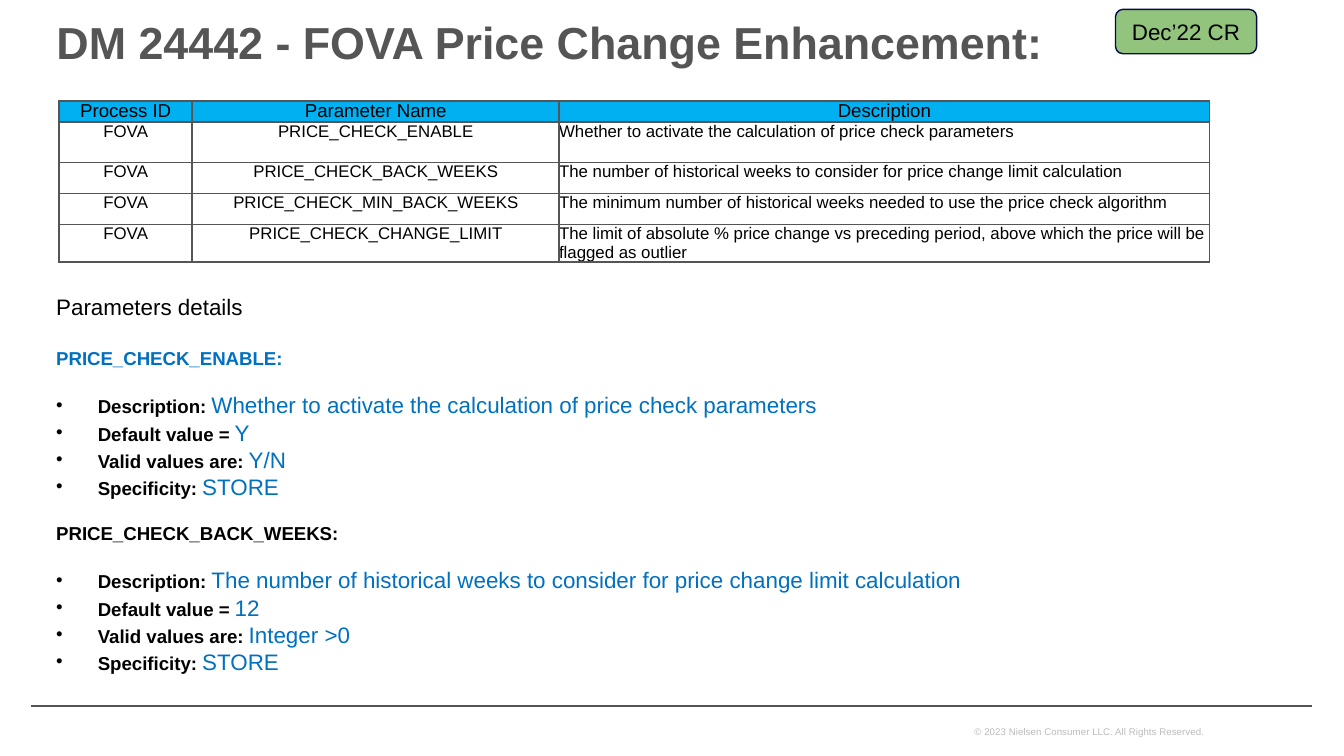
from pptx import Presentation
from pptx.dml.color import RGBColor
from pptx.enum import shapes, text
from pptx.oxml import xmlchemy
from pptx.util import Inches, Pt

FONT = "Arial"
BLACK, GREY, BLUE = "000000", "555555", "0070C0"
LEFT, CENTER = text.PP_ALIGN.LEFT, text.PP_ALIGN.CENTER

COLUMN_WIDTHS = [0.99, 2.73, 4.84]
ROW_HEIGHTS = [0.16, 0.3, 0.23, 0.23, 0.28]
HEADER = ["Process ID", "Parameter Name", "Description"]
PARAMETERS = [
    ("PRICE_CHECK_ENABLE",
     "Whether to activate the calculation of price check parameters"),
    ("PRICE_CHECK_BACK_WEEKS",
     "The number of historical weeks to consider for price change limit calculation"),
    ("PRICE_CHECK_MIN_BACK_WEEKS",
     "The minimum number of historical weeks needed to use the price check algorithm"),
    ("PRICE_CHECK_CHANGE_LIMIT",
     "The limit of absolute % price change vs preceding period, "
     "above which the price will be flagged as outlier"),
]
LABELS = ["Description: ", "Default value = ", "Valid values are: ", "Specificity: "]
# Heading colour, space before the heading, values after the description
DETAILS = [(BLUE, 12, ["Y", "Y/N", "STORE"]),
           (BLACK, 9.5, ["12", "Integer >0", "STORE"])]


def rgb(value):
    return RGBColor.from_string(value)


def add_run(paragraph, words, size, color=BLACK, bold=False):
    run = paragraph.add_run()
    run.text = words
    run.font.name, run.font.size, run.font.bold = FONT, Pt(size), bold
    run.font.color.rgb = rgb(color)


def add_child(parent, tag, **attributes):
    child = xmlchemy.OxmlElement(tag)
    for name, value in attributes.items():
        child.set(name, value)
    parent.append(child)
    return child


def set_frame(frame, anchor, horizontal, vertical):
    frame.word_wrap = True
    frame.auto_size = text.MSO_AUTO_SIZE.NONE
    frame.vertical_anchor = anchor
    frame.margin_left = frame.margin_right = Inches(horizontal)
    frame.margin_top = frame.margin_bottom = Inches(vertical)


def add_text_box(slide, left, top, width, height, horizontal, vertical):
    box = slide.shapes.add_textbox(*map(Inches, (left, top, width, height)))
    set_frame(box.text_frame, text.MSO_ANCHOR.TOP, horizontal, vertical)
    return box.text_frame


def add_title(slide, words):
    title = slide.shapes.title
    title.left, title.top, title.width, title.height = map(
        Inches, (0.32, 0.17, 8.93, 0.35))
    set_frame(title.text_frame, text.MSO_ANCHOR.BOTTOM, 0.1, 0)
    paragraph = title.text_frame.paragraphs[0]
    paragraph.alignment, paragraph.line_spacing = LEFT, 0.95
    add_run(paragraph, words, 24, GREY, True)


def add_release_badge(slide, words):
    badge = slide.shapes.add_shape(shapes.MSO_SHAPE.ROUNDED_RECTANGLE,
                                   *map(Inches, (8.3, 0.07, 1.05, 0.33)))
    badge.shadow.inherit = False
    badge.fill.solid()
    badge.fill.fore_color.rgb = rgb("93C47D")
    badge.line.color.rgb, badge.line.width = rgb("060A45"), Pt(0.75)
    set_frame(badge.text_frame, text.MSO_ANCHOR.MIDDLE, 0.1, 0.1)
    paragraph = badge.text_frame.paragraphs[0]
    paragraph.alignment = CENTER
    add_run(paragraph, words, 12)


def add_footer(slide):
    rule = slide.shapes.add_connector(shapes.MSO_CONNECTOR.STRAIGHT,
                                      *map(Inches, (0.23, 5.25, 9.76, 5.25)))
    rule.line.color.rgb, rule.line.width = rgb(GREY), Pt(1)
    add_child(rule._element.spPr, "a:effectLst")
    frame = add_text_box(slide, 7.25, 5.35, 2.13, 0.19, 0, 0.05)
    add_run(frame.paragraphs[0],
            "© 2023 Nielsen Consumer LLC. All Rights Reserved.", 5.25, "BBBBBB")


def set_borders(cell):
    properties = cell._tc.get_or_add_tcPr()
    for side in ("a:lnL", "a:lnR", "a:lnT", "a:lnB"):
        border = add_child(properties, side, w=str(Pt(1)))
        add_child(add_child(border, "a:solidFill"), "a:srgbClr", val=GREY)


def fill_cell(cell, words, size, alignment, fill=None):
    cell.margin_left = cell.margin_right = cell.margin_top = cell.margin_bottom = 0
    set_borders(cell)
    if fill:
        cell.fill.solid()
        cell.fill.fore_color.rgb = rgb(fill)
    else:
        cell.fill.background()
    paragraph = cell.text_frame.paragraphs[0]
    paragraph.alignment = alignment
    add_run(paragraph, words, size)


def add_parameter_table(slide):
    table = slide.shapes.add_table(
        len(ROW_HEIGHTS), len(COLUMN_WIDTHS), Inches(0.44), Inches(0.75),
        Inches(sum(COLUMN_WIDTHS)), Inches(sum(ROW_HEIGHTS))).table
    table.first_row = table.horz_banding = False
    for column, width in zip(table.columns, COLUMN_WIDTHS):
        column.width = Inches(width)
    for row, height in zip(table.rows, ROW_HEIGHTS):
        row.height = Inches(height)
    for column, words in enumerate(HEADER):
        fill_cell(table.cell(0, column), words, 10, CENTER, "00B0F0")
    for row, (name, description) in enumerate(PARAMETERS, 1):
        fill_cell(table.cell(row, 0), "FOVA", 9, CENTER)
        fill_cell(table.cell(row, 1), name, 9, CENTER)
        fill_cell(table.cell(row, 2), description, 9, LEFT)


def add_detail_line(frame, space_before):
    paragraph = frame.add_paragraph()
    paragraph.line_spacing, paragraph.space_before = Pt(14.5), Pt(space_before)
    return paragraph


def add_bullet(paragraph):
    properties = paragraph._p.get_or_add_pPr()
    properties.set("marL", str(Inches(0.31)))
    properties.set("indent", str(-Inches(0.31)))
    add_child(add_child(properties, "a:buClr"), "a:srgbClr", val=BLACK)
    add_child(properties, "a:buFont", typeface=FONT)
    add_child(properties, "a:buChar", char="•")


def add_parameter_details(slide):
    frame = add_text_box(slide, 0.32, 2.08, 9.57, 3.1, 0.1, 0.1)
    intro = frame.paragraphs[0]
    intro.line_spacing = Pt(14.5)
    add_run(intro, "Parameters details", 12)
    for (name, description), (color, gap, values) in zip(PARAMETERS, DETAILS):
        add_run(add_detail_line(frame, gap), name + ":", 10, color, True)
        for index, (label, value) in enumerate(zip(LABELS, [description] + values)):
            line = add_detail_line(frame, 0 if index else 11.7)
            add_bullet(line)
            add_run(line, label, 10, BLACK, True)
            add_run(line, value, 12, BLUE)


def main():
    deck = Presentation()
    # Widescreen page, 16:9
    deck.slide_width, deck.slide_height = Inches(10), Inches(10 * 9 / 16)
    slide = deck.slides.add_slide(deck.slide_layouts[5])
    add_footer(slide)
    add_title(slide, "DM 24442 - FOVA Price Change Enhancement:")
    add_parameter_details(slide)
    add_release_badge(slide, "Dec’22 CR")
    add_parameter_table(slide)
    deck.save("out.pptx")


if __name__ == "__main__":
    main()
